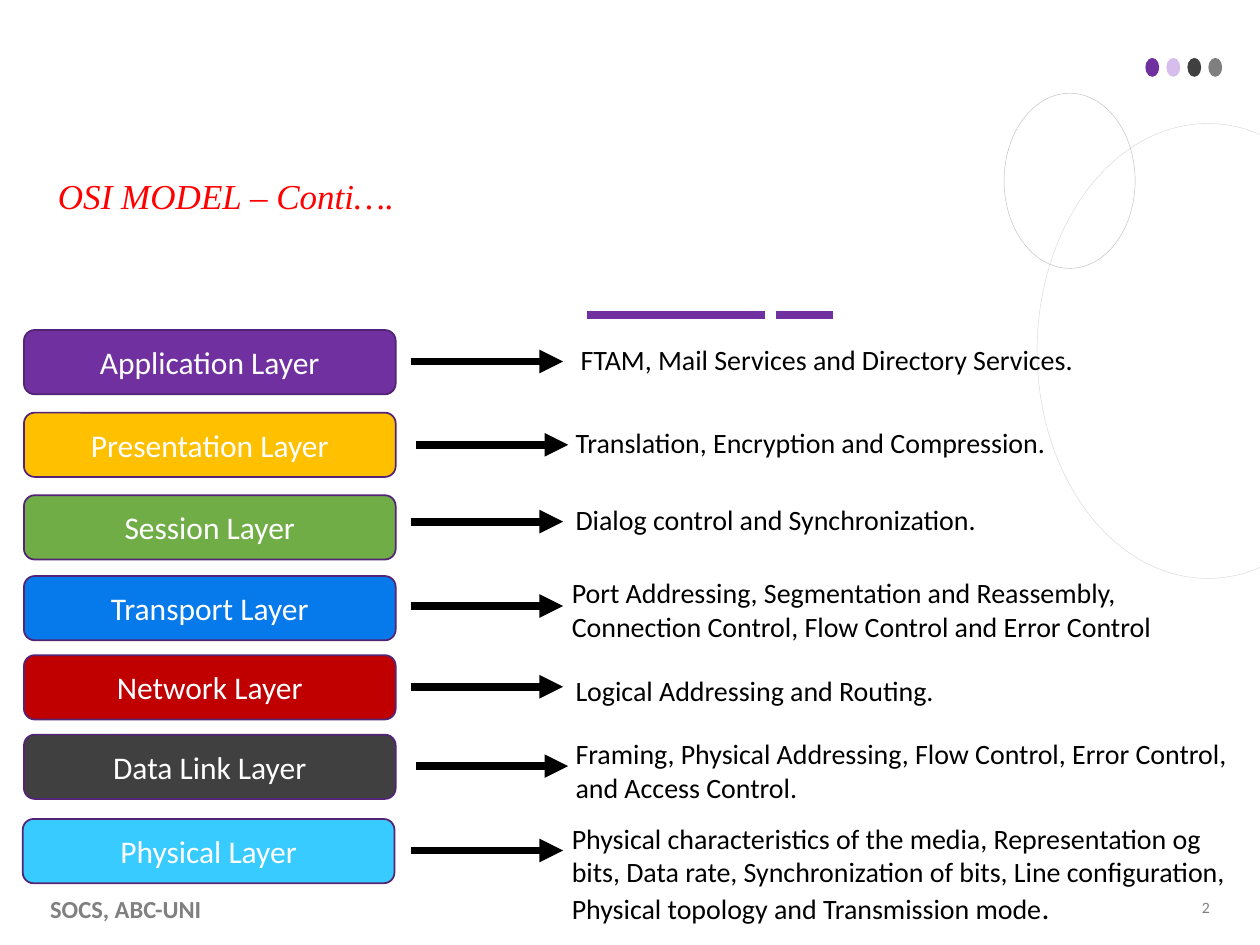
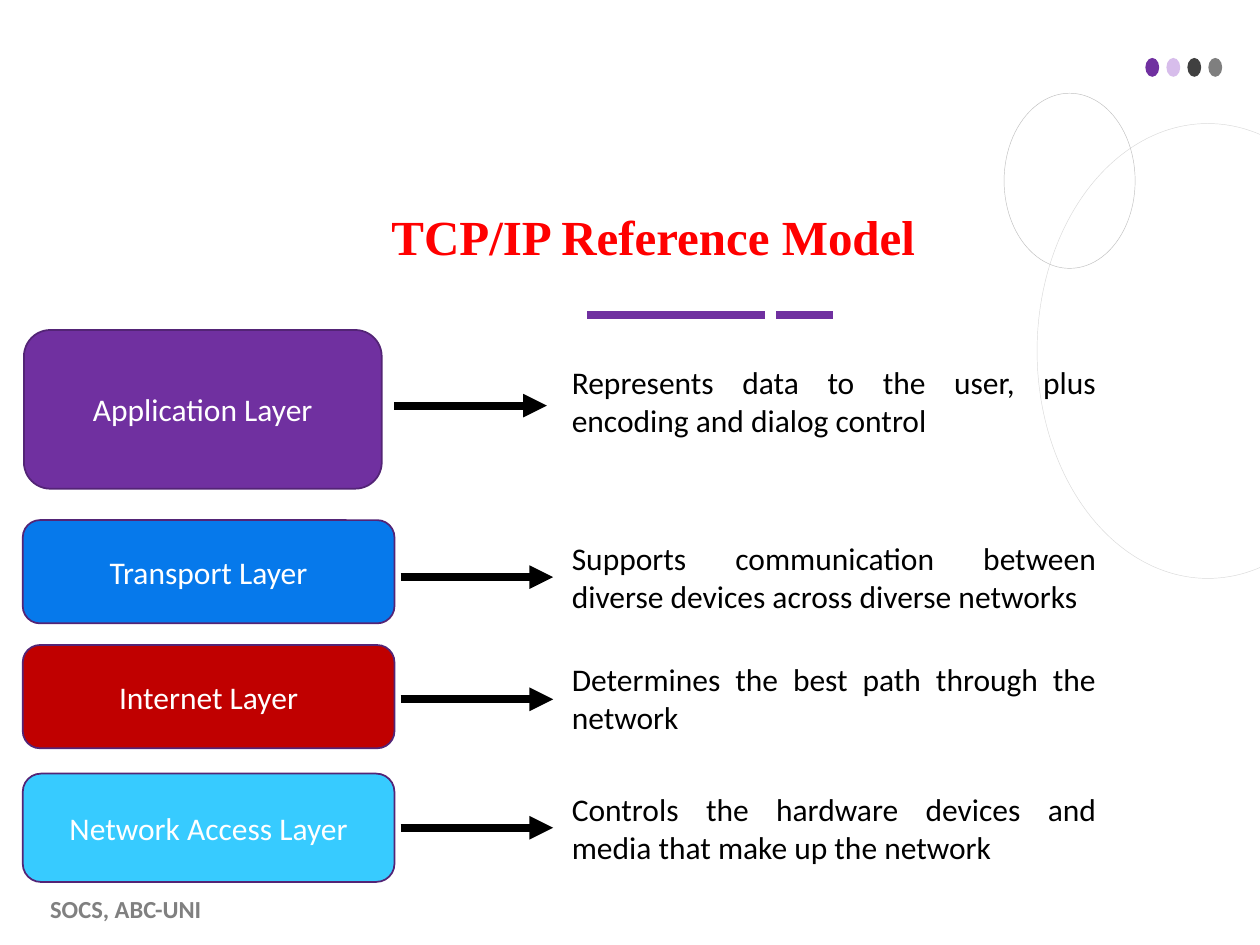
from lxml import etree
from pptx import Presentation
from pptx.dml.color import RGBColor
from pptx.enum import shapes, text
from pptx.oxml import ns
from pptx.util import Pt

PURPLE = RGBColor(0x70, 0x30, 0xA0)
DARK_PURPLE = RGBColor(0x53, 0x24, 0x76)
LILAC = RGBColor(0xC7, 0xA2, 0xE3)
CHARCOAL = RGBColor(0x40, 0x40, 0x40)
GREY = RGBColor(0x7F, 0x7F, 0x7F)
FOOTER_GREY = RGBColor(0x80, 0x80, 0x80)
RING_GREY = RGBColor(0xBF, 0xBF, 0xBF)
PALE_GREY = RGBColor(0xD9, 0xD9, 0xD9)
AMBER = RGBColor(0xFF, 0xC0, 0x00)
GREEN = RGBColor(0x70, 0xAD, 0x47)
BLUE = RGBColor(0x06, 0x79, 0xEB)
DARK_RED = RGBColor(0xC0, 0x00, 0x00)
SKY = RGBColor(0x37, 0xCB, 0xFF)
RED = RGBColor(0xFF, 0x00, 0x00)
BLACK = RGBColor(0x00, 0x00, 0x00)
WHITE = RGBColor(0xFF, 0xFF, 0xFF)

ARROW_LENGTH = 87.1
LEFT, CENTER = text.PP_ALIGN.LEFT, text.PP_ALIGN.CENTER
RIGHT, JUSTIFY = text.PP_ALIGN.RIGHT, text.PP_ALIGN.JUSTIFY
TOP, MIDDLE, BOTTOM = text.MSO_ANCHOR.TOP, text.MSO_ANCHOR.MIDDLE, text.MSO_ANCHOR.BOTTOM


def write(shape, words, size=18, color=BLACK, font="Calibri", bold=False,
          italic=False, align=LEFT, anchor=TOP, inset=None, spacing=None):
    """Put one formatted paragraph into a shape and return the paragraph."""
    frame = shape.text_frame
    frame.word_wrap = True
    frame.vertical_anchor = anchor
    if inset is not None:
        frame.margin_left = frame.margin_right = Pt(inset)
        frame.margin_top = frame.margin_bottom = Pt(inset)
    paragraph = frame.paragraphs[0]
    paragraph.alignment = align
    paragraph.line_spacing = spacing
    run = paragraph.add_run()
    run.text = words
    run.font.name, run.font.size = font, Pt(size)
    run.font.bold, run.font.italic = bold, italic
    run.font.color.rgb = color
    return paragraph


def add_line(slide, left, y, length, color, arrow=False):
    """Draw a thick horizontal line, with an arrowhead at its right end if asked."""
    line = slide.shapes.add_connector(
        shapes.MSO_CONNECTOR.STRAIGHT, Pt(left), Pt(y), Pt(left + length), Pt(y))
    line.line.color.rgb = color
    line.line.width = Pt(4.5)
    if arrow:
        etree.SubElement(line.line._get_or_add_ln(), ns.qn("a:tailEnd"), type="triangle")
    etree.SubElement(line._element.spPr, ns.qn("a:effectLst"))


# Ellipses: box, fill, outline
ellipses = [
    ((654.5 + 12 * index, 33.1, 7.9, 10.8), fill, None)
    for index, fill in enumerate((PURPLE, LILAC, CHARCOAL, GREY))
] + [
    ((592.6, 70.6, 195.1, 259.9), None, PALE_GREY),
    ((573.8, 53.3, 74.9, 100.1), None, RING_GREY),
]

# Each row: layer, fill, layer box, arrow start, description box, description
osi_rows = [
    ("Application Layer", PURPLE, (13.7, 188.6, 212.4, 36.7), (234.7, 206.6),
     (324.7, 192.2, 388.8, 26.6), "FTAM, Mail Services and Directory Services."),
    ("Presentation Layer", AMBER, (13.7, 235.8, 212.4, 36.7), (237.6, 254.2),
     (321.8, 239.4, 383, 26.6), "Translation, Encryption and Compression."),
    ("Session Layer", GREEN, (13.7, 283, 212.4, 36.7), (234.7, 298.1),
     (321.8, 283.7, 282.2, 26.6), "Dialog control and Synchronization."),
    ("Transport Layer", BLUE, (13.7, 329.2, 212.4, 36.7), (234.7, 346.3),
     (319.7, 325.4, 386.6, 46.1),
     "Port Addressing, Segmentation and Reassembly, "
     "Connection Control, Flow Control and Error Control"),
    ("Network Layer", DARK_RED, (13.7, 374.4, 212.4, 36.7), (234.7, 392.4),
     (321.8, 381.6, 282.2, 26.6), "Logical Addressing and Routing."),
    ("Data Link Layer", CHARCOAL, (13.7, 419.8, 212.4, 36.7), (237.6, 437.8),
     (321.8, 417.6, 389.5, 46.1),
     "Framing, Physical Addressing, Flow Control, Error Control, and Access Control."),
    ("Physical Layer", SKY, (13, 468, 212.4, 36.7), (234.7, 486),
     (319.7, 465.8, 388.8, 67.7),
     "Physical characteristics of the media, Representation og bits, Data rate, "
     "Synchronization of bits, Line configuration, Physical topology and Transmission mode"),
]
tcp_rows = [
    ("Application Layer", PURPLE, (13.7, 188.6, 204.5, 90.7), (225.4, 231.8),
     (319.7, 203.8, 313.9, 51.1),
     "Represents data to the user, plus encoding and dialog control"),
    ("Transport Layer", BLUE, (13, 297.2, 212.4, 59), (229, 329.8),
     (319.7, 304.6, 313.9, 51.1),
     "Supports communication between diverse devices across diverse networks"),
    ("Internet Layer", DARK_RED, (13, 368.6, 212.4, 59), (229, 399.6),
     (319.7, 373.7, 313.9, 51.1), "Determines the best path through the network"),
    ("Network Access Layer", SKY, (13, 442.1, 212.4, 61.9), (229, 473),
     (319.7, 447.8, 313.9, 51.1),
     "Controls the hardware devices and media that make up the network"),
]

# Each slide: title, title box, title format, rows, description format
pages = [
    ("OSI MODEL – Conti….", (33.1, 77.8, 464.4, 46.1),
     dict(size=20, italic=True), osi_rows, dict(size=16)),
    ("TCP/IP Reference Model", (75.6, 82.1, 595.4, 69.8),
     dict(size=28, bold=True, align=CENTER), tcp_rows, dict(size=18, align=JUSTIFY)),
]

presentation = Presentation()
presentation.slide_width, presentation.slide_height = Pt(720), Pt(540)

for title, title_box, title_format, rows, description_format in pages:
    slide = presentation.slides.add_slide(presentation.slide_layouts[6])

    add_line(slide, 335.5, 180, 101.5, PURPLE)
    for box, fill, outline in ellipses:
        ellipse = slide.shapes.add_shape(shapes.MSO_SHAPE.OVAL, *map(Pt, box))
        ellipse.shadow.inherit = False
        if fill is None:
            ellipse.fill.background()
            ellipse.line.color.rgb = outline
            ellipse.line.width = Pt(0.25)
        else:
            ellipse.fill.solid()
            ellipse.fill.fore_color.rgb = fill
            ellipse.line.fill.background()
        if fill == LILAC:
            color_element = ellipse._element.spPr.find(".//" + ns.qn("a:srgbClr"))
            etree.SubElement(color_element, ns.qn("a:alpha"), val="70000")
    add_line(slide, 443.5, 180, 32.4, PURPLE)

    footer = slide.shapes.add_textbox(Pt(21.6), Pt(509), Pt(133.9), Pt(19.4))
    write(footer, "SOCS, ABC-UNI", size=14, color=FOOTER_GREY, bold=True, spacing=0.9)
    title_shape = slide.shapes.add_textbox(*map(Pt, title_box))
    write(title_shape, title, color=RED, font="Times New Roman", anchor=BOTTOM,
          inset=0, spacing=0.9, **title_format)

    for layer, fill, layer_box, arrow_start, description_box, description in rows:
        layer_shape = slide.shapes.add_shape(
            shapes.MSO_SHAPE.ROUNDED_RECTANGLE, *map(Pt, layer_box))
        layer_shape.shadow.inherit = False
        layer_shape.fill.solid()
        layer_shape.fill.fore_color.rgb = fill
        layer_shape.line.color.rgb = DARK_PURPLE
        layer_shape.line.width = Pt(1)
        write(layer_shape, layer, color=WHITE, align=CENTER, anchor=MIDDLE)

        add_line(slide, *arrow_start, ARROW_LENGTH, BLACK, arrow=True)

        description_shape = slide.shapes.add_textbox(*map(Pt, description_box))
        paragraph = write(description_shape, description, **description_format)
        if layer == "Physical Layer":
            full_stop = paragraph.add_run()
            full_stop.text = "."
            full_stop.font.name, full_stop.font.size = "Calibri", Pt(18)
            full_stop.font.color.rgb = BLACK

number = presentation.slides[0].shapes.add_textbox(Pt(536.4), Pt(509), Pt(162), Pt(19.4))
write(number, "2", size=9, color=GREY, align=RIGHT, anchor=MIDDLE)

presentation.save("out.pptx")
